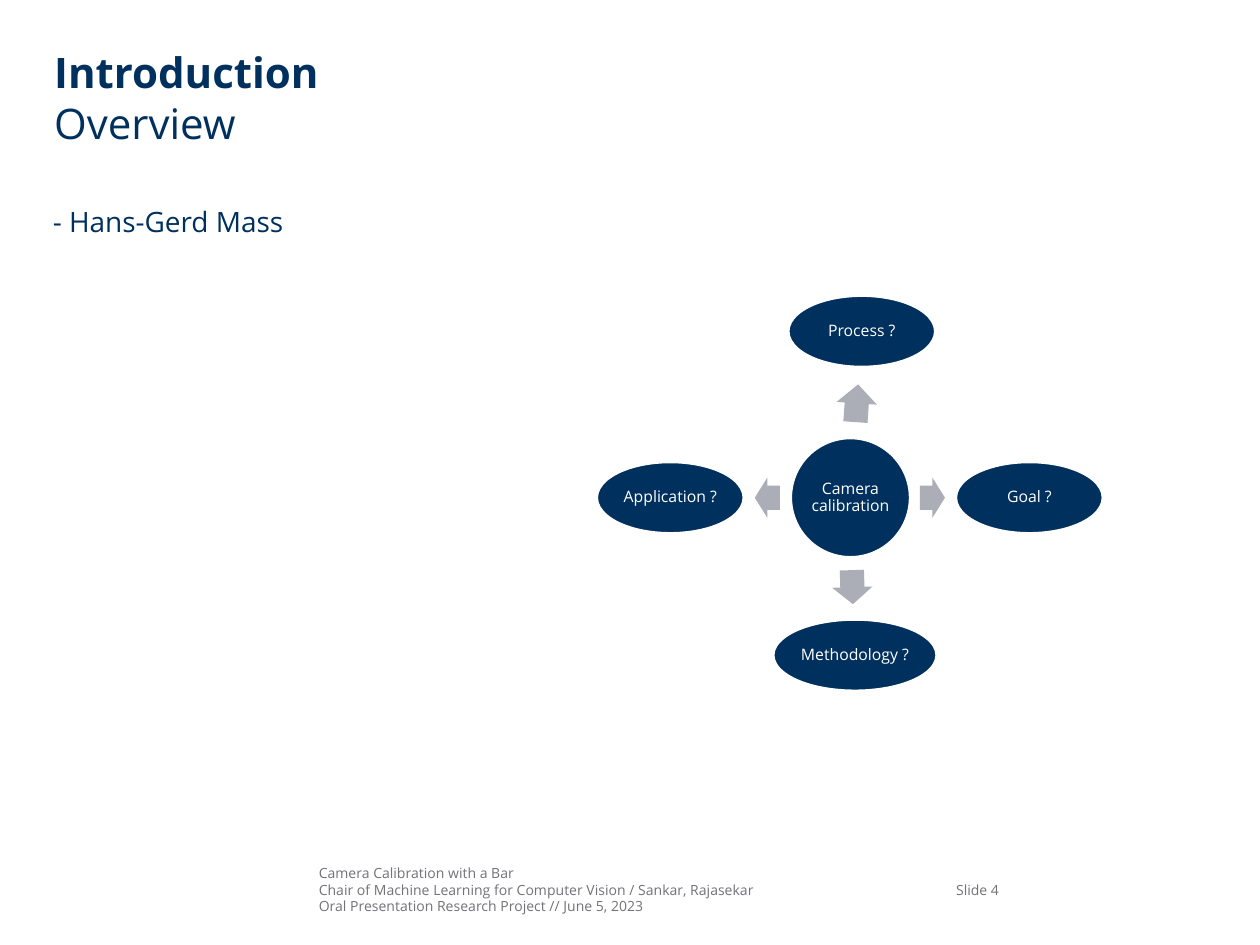
"""Build the overview slide with a radial diagram of camera calibration."""
from pptx import Presentation
from pptx import util as u
from pptx.dml.color import RGBColor
from pptx.enum import shapes, text

PX = 9144
HUES = {"navy": "00305D", "grey": "727277", "arrow": "ABAEB6", "white": "FFFFFF"}


def hue(name):
    return RGBColor.from_string(HUES[name])


def write(shape, lines, size, tone, inset=0, align="LEFT", anchor="TOP", space=None):
    frame = shape.text_frame
    frame.word_wrap = True
    frame.vertical_anchor = text.MSO_ANCHOR[anchor]
    frame.margin_left = frame.margin_right = inset * PX
    frame.margin_top = frame.margin_bottom = inset * PX
    for i, (words, bold) in enumerate(lines):
        para = frame.paragraphs[0] if i == 0 else frame.add_paragraph()
        para.alignment = text.PP_ALIGN[align]
        para.line_spacing = space
        run = para.add_run()
        run.text = words
        font = run.font
        font.name, font.size, font.bold = "Open Sans", u.Pt(size), bold
        font.color.rgb = hue(tone)


deck = Presentation()
deck.slide_width, deck.slide_height = 1000 * PX, 750 * PX
slide = deck.slides.add_slide(deck.slide_layouts[6])

foot = [
    ("Camera Calibration with a Bar", False),
    ("Chair of Machine Learning for Computer Vision / Sankar, Rajasekar", False),
    ("Oral Presentation Research Project // June 5, 2023", False),
]
head = [("Introduction", True), ("Overview", False)]
boxes = [
    ((253, 686, 452, 40), foot, 8, "grey", "LEFT", "TOP"),
    ((717, 686, 76, 40), [("Slide 4", False)], 8, "grey", "RIGHT", "MIDDLE"),
    ((43, 37, 915, 89), head, 24, "navy", "LEFT", "TOP"),
    ((42, 162, 916, 465), [("- Hans-Gerd Mass", False)], 16, "navy", "LEFT", "TOP"),
]
for area, lines, size, tone, align, anchor in boxes:
    box = slide.shapes.add_textbox(*(n * PX for n in area))
    write(box, lines, size, tone, align=align, anchor=anchor)

nodes = [
    ("Camera calibration", 628, 348, 94, 94),
    ("Process ?", 626, 235, 116, 56),
    ("Goal ?", 759, 367, 116, 56),
    ("Methodology ?", 614, 492, 129, 56),
    ("Application ?", 474, 367, 116, 56),
]
for label, *area in nodes:
    node = slide.shapes.add_shape(shapes.MSO_SHAPE.OVAL, *(n * PX for n in area))
    node.shadow.inherit = False
    node.fill.solid()
    node.fill.fore_color.rgb = hue("navy")
    node.line.color.rgb = hue("white")
    node.line.width = u.Pt(1)
    write(node, [(label, False)], 9, "white", 1, "CENTER", "MIDDLE", 0.9)

arrows = [(665, 304, 30, 274), (730, 379, 20, 0), (663, 450, 27, 88.1), (599, 379, 20, 180)]
for left, top, wide, turn in arrows:
    arrow = slide.shapes.add_shape(
        shapes.MSO_SHAPE.RIGHT_ARROW, left * PX, top * PX, wide * PX, 32 * PX)
    arrow.shadow.inherit = False
    arrow.adjustments[0], arrow.adjustments[1] = 0.6, 0.5
    arrow.rotation = turn
    arrow.fill.solid()
    arrow.fill.fore_color.rgb = hue("arrow")
    arrow.line.fill.background()

deck.save("out.pptx")
